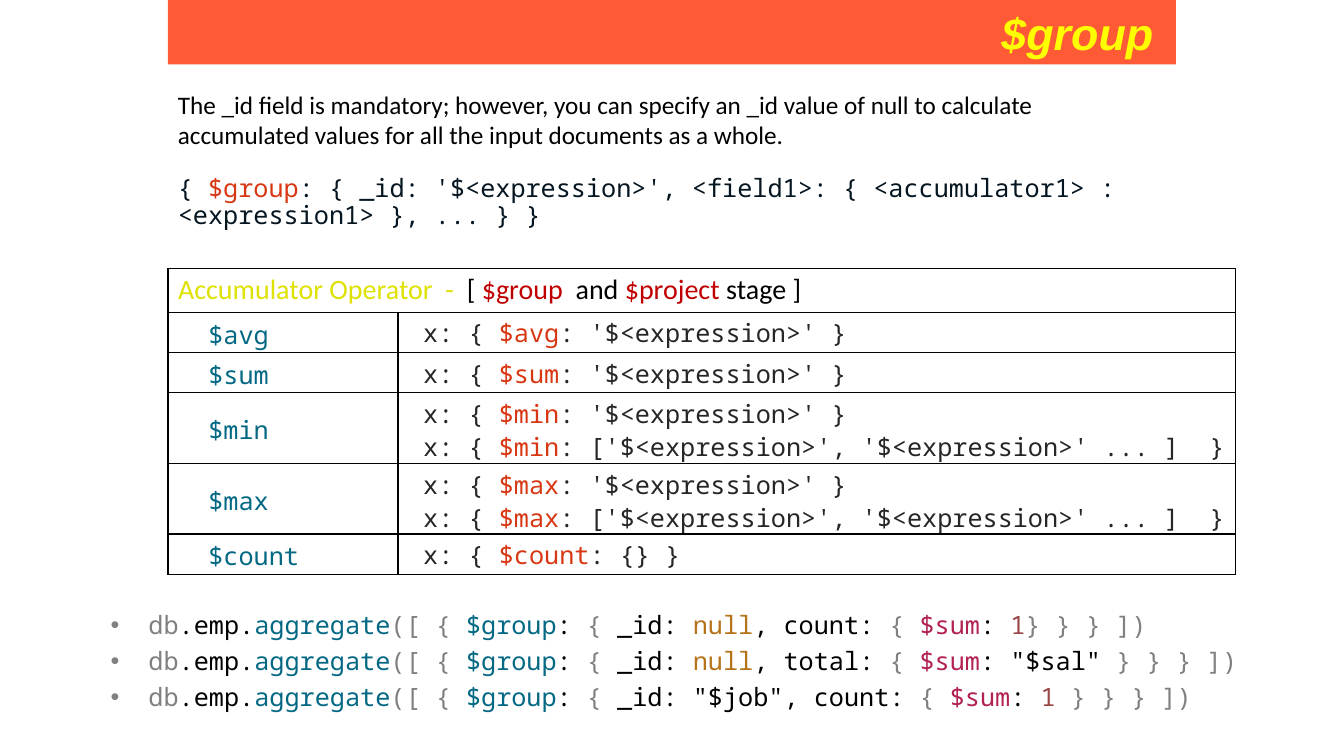
from lxml.etree import SubElement
from pptx import Presentation
from pptx.dml.color import RGBColor
from pptx.enum.text import MSO_ANCHOR, MSO_AUTO_SIZE, PP_ALIGN
from pptx.oxml.ns import qn
from pptx.util import Pt

MONO, SANS = "Noto Sans Mono", "Calibri"
BLACK, GREY, TEAL, INK = "000000", "808080", "036883", "262626"
OPERATOR, STAGE, KEYWORD = "D83713", "C00000", "B22251"
LITERAL, NUMBER = "B5731B", "994646"
LEFT, WIDTH = 120, 720

ONE = ": '$<expression>' }"
MANY = ": ['$<expression>', '$<expression>' ... ]  }"
ACCUMULATORS = [
    ("$avg", [ONE]),
    ("$sum", [ONE]),
    ("$min", [ONE, MANY]),
    ("$max", [ONE, MANY]),
    ("$count", [": {} }"]),
]
NULL_ID = [("_id: ", BLACK), ("null", LITERAL)]
COUNT_ONE = [(": ", BLACK), ("1", NUMBER), ("} } } ])", GREY)]
SUM_SALARY = [(': "$sal" ', BLACK), ("} } } ])", GREY)]
COUNT_BY_JOB = [(": ", BLACK), ("1 ", NUMBER), ("} } } ])", GREY)]
QUERIES = [
    (NULL_ID + [(", count: ", BLACK)], COUNT_ONE),
    (NULL_ID + [(", total: ", BLACK)], SUM_SALARY),
    ([('_id: "$job", count: ', BLACK)], COUNT_BY_JOB),
]


def rgb(value):
    return RGBColor.from_string(value)


def write(paragraph, pieces, font=MONO, size=18):
    """Fill a paragraph with (text, colour) pieces in one font."""
    paragraph.font.name = font
    paragraph.font.size = Pt(size)
    for text, colour in pieces:
        run = paragraph.add_run()
        run.text = text
        run.font.color.rgb = rgb(colour)


def add_text_frame(slide, left, top, width, height):
    frame = slide.shapes.add_textbox(Pt(left), Pt(top), Pt(width), Pt(height)).text_frame
    frame.word_wrap = True
    return frame


def add_bullet(paragraph, indent):
    properties = paragraph._p.get_or_add_pPr()
    properties.set("marL", str(Pt(indent)))
    properties.set("indent", str(-Pt(indent)))
    colour = SubElement(properties, qn("a:buClr"))
    SubElement(colour, qn("a:srgbClr"), val=GREY)
    SubElement(properties, qn("a:buFont"), typeface="Arial")
    SubElement(properties, qn("a:buChar"), char="•")


def style_cell(cell):
    properties = cell._tc.get_or_add_tcPr()
    for side in ("lnL", "lnR", "lnT", "lnB"):
        line = SubElement(properties, qn(f"a:{side}"), w=str(Pt(1)))
        fill = SubElement(line, qn("a:solidFill"))
        SubElement(fill, qn("a:srgbClr"), val=BLACK)
    cell.fill.background()
    cell.vertical_anchor = MSO_ANCHOR.MIDDLE


def set_title(slide):
    title = slide.shapes.title
    title.left, title.top, title.width, title.height = Pt(LEFT), Pt(0), Pt(WIDTH), Pt(46)
    title.fill.solid()
    title.fill.fore_color.rgb = rgb("FF5A36")
    frame = title.text_frame
    frame.auto_size = MSO_AUTO_SIZE.NONE
    frame.vertical_anchor = MSO_ANCHOR.MIDDLE
    heading = frame.paragraphs[0]
    heading.alignment = PP_ALIGN.RIGHT
    write(heading, [("$group ", "FFFF00")], "Arial", 32)
    heading.font.bold = heading.font.italic = True


def add_accumulators(slide):
    heights = [31.5] + [28.8 if len(forms) == 1 else 50.4 for _, forms in ACCUMULATORS]
    widths = [164.3, 598.2]
    table = slide.shapes.add_table(len(heights), 2, Pt(LEFT), Pt(191.5),
                                   Pt(sum(widths)), Pt(sum(heights))).table
    table.first_row = table.horz_banding = False
    for column, width in zip(table.columns, widths):
        column.width = Pt(width)
    for row, height in zip(table.rows, heights):
        row.height = Pt(height)
    for cell in table.iter_cells():
        style_cell(cell)

    header = table.cell(0, 0)
    header.merge(table.cell(0, 1))
    write(header.text_frame.paragraphs[0], [
        ("Accumulator Operator  -  ", "DFE100"), ("[ ", BLACK), ("$group  ", STAGE),
        ("and ", BLACK), ("$project ", STAGE), ("stage ]", BLACK)], SANS, 20)

    for index, (operator, forms) in enumerate(ACCUMULATORS, 1):
        name, usage = table.cell(index, 0), table.cell(index, 1)
        for cell in (name, usage):
            cell.margin_top, cell.margin_bottom = Pt(2.8), Pt(0)
        usage.vertical_anchor = MSO_ANCHOR.TOP
        write(name.text_frame.paragraphs[0], [("  " + operator, TEAL)])
        for number, form in enumerate(forms):
            frame = usage.text_frame
            paragraph = frame.add_paragraph() if number else frame.paragraphs[0]
            if number:
                paragraph.line_spacing = 0.94
            write(paragraph, [(" x: { ", INK), (operator, OPERATOR), (form, INK)])


def add_queries(slide):
    frame = add_text_frame(slide, 72, 432, 834, 87)
    for number, (group_key, total) in enumerate(QUERIES):
        paragraph = frame.add_paragraph() if number else frame.paragraphs[0]
        if number:
            paragraph.space_before = Pt(4.1)
        add_bullet(paragraph, 27)
        write(paragraph, [
            ("db", GREY), (".emp.", BLACK), ("aggregate", TEAL), ("([ { ", GREY),
            ("$group", TEAL), (": ", BLACK), ("{ ", GREY), *group_key,
            ("{ ", GREY), ("$sum", KEYWORD), *total])


def main():
    deck = Presentation()
    deck.slide_width, deck.slide_height = Pt(960), Pt(540)
    slide = deck.slides.add_slide(deck.slide_layouts[5])
    set_title(slide)

    rule = add_text_frame(slide, LEFT, 60, WIDTH, 51).paragraphs[0]
    write(rule, [("The _id field is mandatory; however, you can specify an _id value of null "
                  "to calculate accumulated values for all the input documents as a whole.",
                  BLACK)], SANS)

    syntax = add_text_frame(slide, LEFT, 122.5, WIDTH, 51).paragraphs[0]
    syntax.line_spacing = 0.88
    write(syntax, [("{ ", "061621"), ("$group", OPERATOR),
                   (": { _id: '$<expression>', <field1>: { <accumulator1> : "
                    "<expression1> }, ... } }", "061621")])

    add_accumulators(slide)
    add_queries(slide)
    deck.save("out.pptx")


if __name__ == "__main__":
    main()
